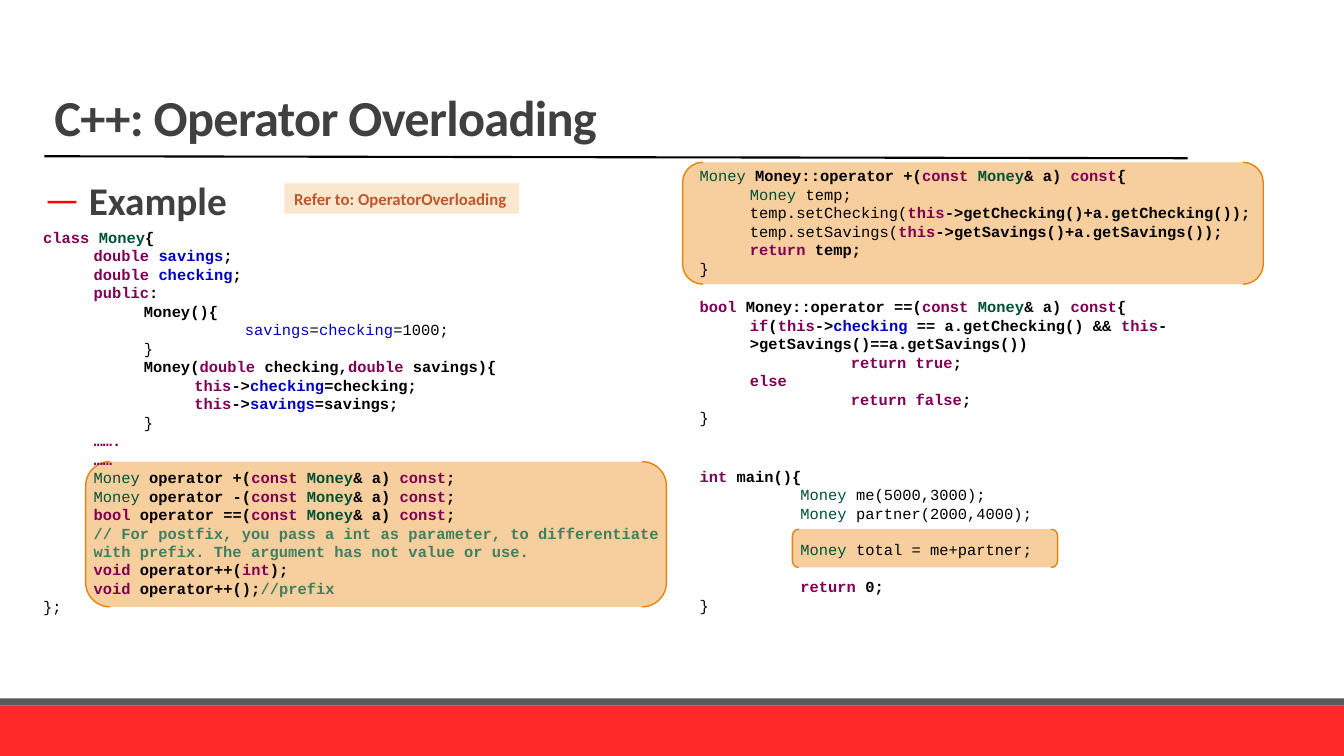
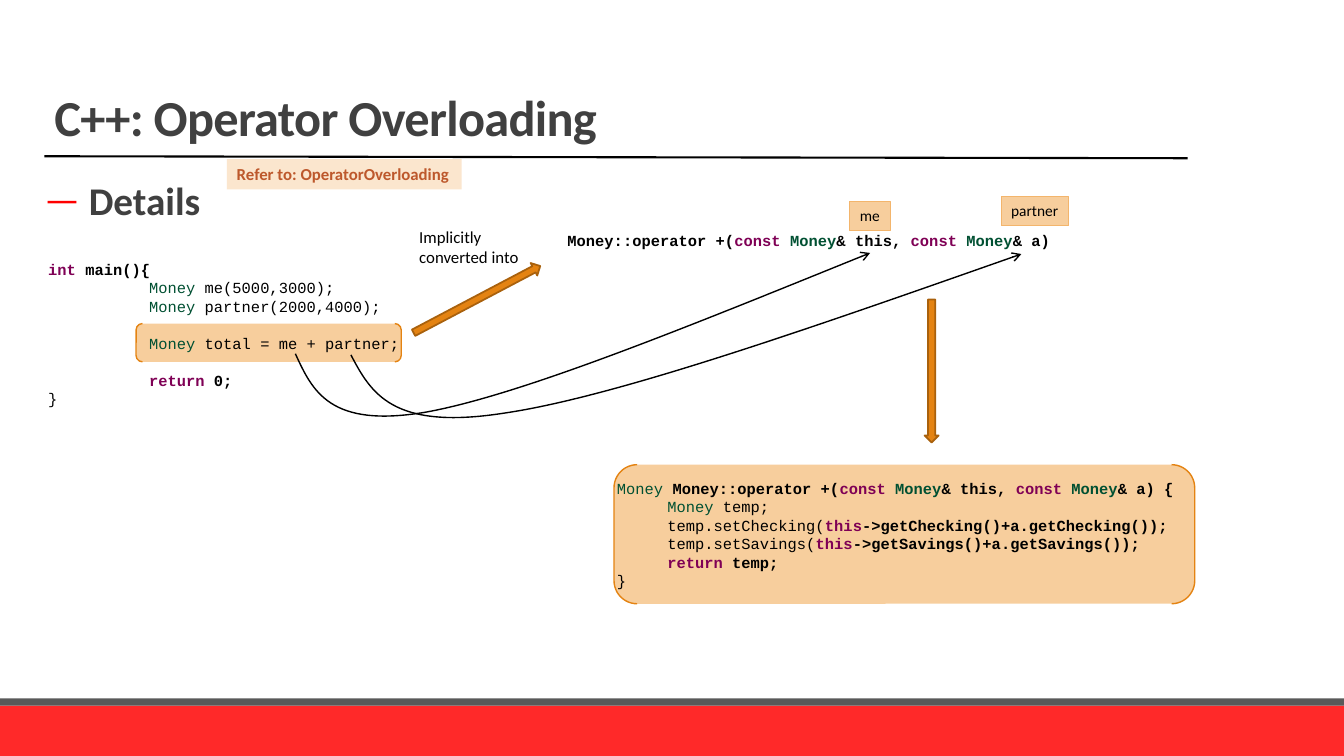
from dataclasses import dataclass

from lxml import etree
from pptx import Presentation
from pptx import slide as sl
from pptx import util as u
from pptx.dml import color as dc
from pptx.enum import shapes as es
from pptx.enum import text as et
from pptx.oxml import ns

COLORS = {
    "black": "000000",
    "title": "404040",
    "red": "FF0000",
    "band": "FF2929",
    "band_edge": "595959",
    "highlight": "F7CE9D",
    "orange": "E48312",
    "arrow_edge": "A9610D",
    "label_edge": "F3B56C",
    "reference": "FBE6CE",
    "reference_text": "BD582C",
    "keyword": "7F0055",
    "type": "005032",
    "field": "0000C0",
    "comment": "3F7F5F",
}
SANS = "Calibri"
MONO = "Courier New"
CODE_STYLES = {
    "K": ("keyword", True),
    "T": ("type", True),
    "t": ("type", False),
    "F": ("field", True),
    "f": ("field", False),
    "B": ("black", True),
    "b": ("black", False),
    "C": ("comment", True),
}


@dataclass(frozen=True)
class Box:
    left: float
    top: float
    width: float
    height: float

    def lengths(self) -> tuple[u.Length, ...]:
        return tuple(u.Inches(v) for v in (self.left, self.top, self.width, self.height))


@dataclass(frozen=True)
class CodeLine:
    markup: str
    level: int = 0
    gap: float = 0


@dataclass(frozen=True)
class CodeBlock:
    box: Box
    lines: list[CodeLine]


@dataclass(frozen=True)
class Label:
    box: Box
    words: str
    fill: str = "highlight"
    edge: str | None = "label_edge"
    color: str = "black"
    size: float = 11
    bold: bool = False


@dataclass(frozen=True)
class BlockArrow:
    box: Box
    rotation: float


Point = tuple[float, float]


def rgb(name: str) -> dc.RGBColor:
    return dc.RGBColor.from_string(COLORS[name])


def add_run(paragraph, words: str, size: float, color: str, bold: bool = False, font: str = SANS):
    run = paragraph.add_run()
    run.text = words
    run.font.name = font
    run.font.size = u.Pt(size)
    run.font.bold = bold
    run.font.color.rgb = rgb(color)
    return run


def add_filled(slide: sl.Slide, kind, box: Box, fill: str, edge: str | None = None, weight: float = 1):
    shape = slide.shapes.add_shape(kind, *box.lengths())
    shape.shadow.inherit = False
    shape.fill.solid()
    shape.fill.fore_color.rgb = rgb(fill)
    if edge:
        shape.line.color.rgb = rgb(edge)
        shape.line.width = u.Pt(weight)
    else:
        shape.line.fill.background()
    return shape


def add_text_frame(slide: sl.Slide, box: Box, wrap: bool = True):
    frame = slide.shapes.add_textbox(*box.lengths()).text_frame
    frame.word_wrap = wrap
    return frame


def next_paragraph(frame, index: int):
    return frame.add_paragraph() if index else frame.paragraphs[0]


def add_brackets(slide: sl.Slide, boxes: list[Box]) -> None:
    for box in boxes:
        add_filled(slide, es.MSO_SHAPE.DOUBLE_BRACKET, box, "highlight", "orange")


def add_code(slide: sl.Slide, block: CodeBlock) -> None:
    frame = add_text_frame(slide, block.box)
    for index, line in enumerate(block.lines):
        paragraph = next_paragraph(frame, index)
        paragraph.level = line.level
        paragraph.space_before = u.Pt(line.gap)
        properties = paragraph._p.get_or_add_pPr()
        properties.set("marL", str(u.Inches(0.5 * line.level)))
        properties.set("indent", "0")
        for piece in line.markup.split("[")[1:]:
            style, words = piece.split("]", 1)
            color, bold = CODE_STYLES[style]
            add_run(paragraph, words, 11, color, bold, MONO)


def add_label(slide: sl.Slide, label: Label) -> None:
    shape = add_filled(slide, es.MSO_SHAPE.RECTANGLE, label.box, label.fill, label.edge, 0.75)
    frame = shape.text_frame
    frame.word_wrap = False
    frame.auto_size = et.MSO_AUTO_SIZE.SHAPE_TO_FIT_TEXT
    frame.vertical_anchor = et.MSO_ANCHOR.TOP
    paragraph = frame.paragraphs[0]
    paragraph.alignment = et.PP_ALIGN.LEFT
    add_run(paragraph, label.words, label.size, label.color, label.bold)


def add_reference(slide: sl.Slide, left: float, top: float) -> None:
    add_label(slide, Label(Box(left, top, 2.33, 0.3), "Refer to: OperatorOverloading",
                           "reference", None, "reference_text", 12, True))


def add_block_arrow(slide: sl.Slide, arrow: BlockArrow) -> None:
    shape = add_filled(slide, es.MSO_SHAPE.RIGHT_ARROW, arrow.box, "orange", "arrow_edge", 1.25)
    shape.rotation = arrow.rotation


def add_curved_arrow(slide: sl.Slide, points: list[Point]) -> None:
    start, *controls = [(u.Inches(x), u.Inches(y)) for x, y in points]
    builder = slide.shapes.build_freeform(*start)
    builder.add_line_segments(controls, close=False)
    shape = builder.convert_to_shape()
    shape.shadow.inherit = False
    shape.fill.background()
    shape.line.color.rgb = rgb("black")
    shape.line.width = u.Pt(1)
    segments = shape._element.xpath(".//a:lnTo")
    for first in range(0, len(segments), 3):
        curve = etree.Element(ns.qn("a:cubicBezTo"))
        segments[first].addprevious(curve)
        for segment in segments[first:first + 3]:
            curve.append(segment[0])
            segment.getparent().remove(segment)
    etree.SubElement(shape.line._get_or_add_ln(), ns.qn("a:tailEnd"), type="arrow")


def add_shared_decor(slide: sl.Slide) -> None:
    band = add_filled(slide, es.MSO_SHAPE.RECTANGLE, Box(0, 7, 13.33, 0.5), "band")
    edge = add_filled(slide, es.MSO_SHAPE.RECTANGLE, Box(0, 6.93, 13.33, 0.07), "band_edge")
    rule = slide.shapes.add_connector(es.MSO_CONNECTOR.STRAIGHT, u.Inches(0.44), u.Inches(1.55),
                                      u.Inches(11.78), u.Inches(1.57))
    rule.line.color.rgb = rgb("black")
    rule.line.width = u.Pt(1.5)
    etree.SubElement(rule._element.spPr, ns.qn("a:effectLst"))
    for shape in (band, edge, rule):
        slide.slide_layout.shapes._spTree.append(shape._element)


def format_title(slide: sl.Slide, words: str) -> None:
    title = slide.shapes.title
    title.left, title.top, title.width, title.height = Box(0.44, 0, 11.33, 1.51).lengths()
    frame = title.text_frame
    frame.auto_size = et.MSO_AUTO_SIZE.NONE
    frame.vertical_anchor = et.MSO_ANCHOR.BOTTOM
    paragraph = frame.paragraphs[0]
    paragraph.alignment = et.PP_ALIGN.LEFT
    paragraph.line_spacing = 0.85
    run = add_run(paragraph, words, 36, "title", True)
    run._r.get_or_add_rPr().set("spc", "-50")


def add_heading(slide: sl.Slide, words: str) -> None:
    frame = add_text_frame(slide, Box(0.44, 1.75, 2.01, 0.54))
    frame.margin_left = frame.margin_right = 0
    paragraph = frame.paragraphs[0]
    paragraph.line_spacing = 0.9
    paragraph.space_before = paragraph.space_after = u.Pt(6)
    properties = paragraph._p.get_or_add_pPr()
    properties.set("marL", str(u.Inches(0.44)))
    properties.set("indent", str(-u.Inches(0.44)))
    bullet_color = etree.SubElement(properties, ns.qn("a:buClr"))
    etree.SubElement(bullet_color, ns.qn("a:srgbClr"), val=COLORS["red"])
    etree.SubElement(properties, ns.qn("a:buFont"), typeface=SANS)
    etree.SubElement(properties, ns.qn("a:buChar"), char="—")
    add_run(paragraph, words, 28, "title", True)


def add_topic_slide(presentation, heading: str) -> sl.Slide:
    slide = presentation.slides.add_slide(presentation.slide_layouts[5])
    format_title(slide, "C++: Operator Overloading")
    add_heading(slide, heading)
    return slide


def main_lines(total: str) -> list[CodeLine]:
    return [
        CodeLine("[K]int[B] main(){"),
        CodeLine("[t]Money[b] me(5000,3000);", 2),
        CodeLine("[t]Money[b] partner(2000,4000);", 2),
        CodeLine(f"[t]Money[b] total = {total};", 2, 13.2),
        CodeLine("[K]return[B] 0;", 2, 13.2),
        CodeLine("[b]}"),
    ]


def setter_line(field: str) -> CodeLine:
    return CodeLine(f"[b]temp.set{field}([K]this[B]->get{field}()+a.get{field}());", 1)


CONST_MONEY = "[K]const [T]Money[B]& "
CONST_METHOD = CONST_MONEY + "a) [K]const[B]"
EXPLICIT_SIGNATURE = f"[B]Money::operator +({CONST_MONEY}this, {CONST_MONEY}a)"
PLUS_BODY = [
    CodeLine("[t]Money[b] temp;", 1),
    setter_line("Checking"),
    setter_line("Savings"),
    CodeLine("[K]return[B] temp;", 1),
    CodeLine("[b]}"),
]
MONEY_CLASS = [
    CodeLine("[K]class [T]Money[B]{"),
    *[CodeLine(f"[K]double [F]{field}[B];", 1) for field in ("savings", "checking")],
    CodeLine("[K]public[B]:", 1),
    CodeLine("[B]Money(){", 2),
    CodeLine("[f]savings[b]=[f]checking[b]=1000;", 4),
    CodeLine("[b]}", 2),
    CodeLine("[B]Money([K]double [B]checking,[K]double[B] savings){", 2),
    *[CodeLine(f"[K]this[B]->[F]{field}[B]={field};", 3) for field in ("checking", "savings")],
    CodeLine("[b]}", 2),
    CodeLine("[K]…….", 1),
    CodeLine("[K]……", 1),
    *[CodeLine(f"[t]Money [B]operator {sign}({CONST_METHOD};", 1) for sign in "+-"],
    CodeLine(f"[K]bool[B] operator ==({CONST_METHOD};", 1),
    CodeLine("[C]// For postfix, you pass a int as parameter, to differentiate with prefix. "
             "The argument has not value or use.", 1),
    CodeLine("[K]void[B] operator++([K]int[B]);", 1),
    CodeLine("[K]void[B] operator++();[C]//prefix", 1),
    CodeLine("[b]};"),
]
EQUALS_METHOD = [
    CodeLine(f"[K]bool[B] Money::operator ==({CONST_METHOD}{{"),
    CodeLine("[K]if[B]([K]this[B]->[F]checking[B] == a.getChecking() && "
             "[K]this[B]->getSavings()==a.getSavings())", 1),
    CodeLine("[K]return true[B];", 3),
    CodeLine("[K]else", 1),
    CodeLine("[K]return false[B];", 3),
    CodeLine("[b]}"),
]


def build_example(presentation) -> None:
    slide = add_topic_slide(presentation, "Example")
    add_shared_decor(slide)
    add_brackets(slide, [Box(7.86, 5.25, 2.63, 0.38), Box(6.77, 1.61, 5.76, 1.21),
                         Box(0.85, 4.58, 5.76, 1.44)])
    plus_method = [CodeLine(f"[t]Money [B]Money::operator +({CONST_METHOD}{{"), *PLUS_BODY]
    for block in (CodeBlock(Box(0.33, 2.21, 6.67, 3.99), MONEY_CLASS),
                  CodeBlock(Box(6.84, 1.6, 6.67, 1.21), plus_method),
                  CodeBlock(Box(6.84, 2.9, 6.67, 1.21), EQUALS_METHOD),
                  CodeBlock(Box(6.84, 4.58, 6.67, 1.58), main_lines("me+partner"))):
        add_code(slide, block)
    add_reference(slide, 2.82, 1.82)


def build_details(presentation) -> None:
    slide = add_topic_slide(presentation, "Details")
    add_brackets(slide, [Box(1.35, 3.21, 2.63, 0.38), Box(6.09, 4.61, 5.76, 1.38)])
    plus_function = [CodeLine(f"[t]Money {EXPLICIT_SIGNATURE} {{"), *PLUS_BODY]
    for block in (CodeBlock(Box(6.02, 4.7, 6.67, 1.21), plus_function),
                  CodeBlock(Box(0.38, 2.53, 6.67, 1.58), main_lines("me + partner")),
                  CodeBlock(Box(5.53, 2.24, 5.07, 0.29), [CodeLine(EXPLICIT_SIGNATURE)])):
        add_code(slide, block)
    for arrow in (BlockArrow(Box(4.02, 2.9, 1.42, 0.14), 332.2),
                  BlockArrow(Box(8.53, 3.61, 1.42, 0.14), 90)):
        add_block_arrow(slide, arrow)
    add_curved_arrow(slide, [(2.93, 3.51), (3.1, 3.88), (3.27, 4.25), (4.22, 4.09),
                             (5.17, 3.92), (6.9, 3.21), (8.63, 2.51)])
    add_curved_arrow(slide, [(3.48, 3.52), (3.68, 3.9), (3.89, 4.27), (4.99, 4.1),
                             (6.1, 3.94), (8.11, 3.23), (10.13, 2.52)])
    add_label(slide, Label(Box(8.43, 2, 0.4, 0.29), "me"))
    add_label(slide, Label(Box(9.93, 1.95, 0.67, 0.29), "partner"))
    caption = add_text_frame(slide, Box(4.06, 2.2, 1.2, 0.5), wrap=False)
    for index, words in enumerate(("Implicitly ", "converted into")):
        add_run(next_paragraph(caption, index), words, 12, "black")
    add_reference(slide, 2.25, 1.58)


presentation = Presentation()
presentation.slide_width, presentation.slide_height = u.Inches(13.33), u.Inches(7.5)
build_example(presentation)
build_details(presentation)
presentation.save("out.pptx")
